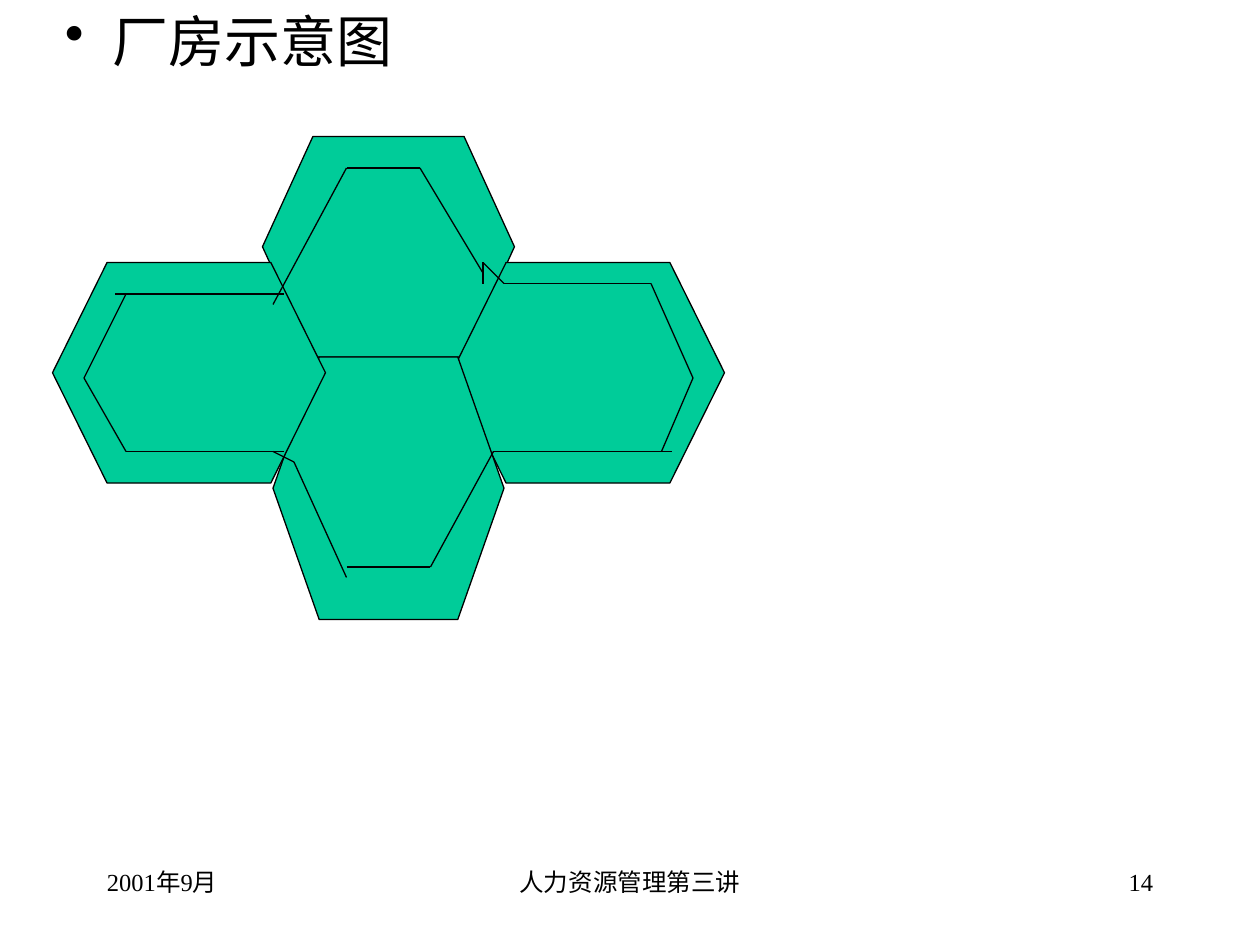
from itertools import pairwise

from lxml.etree import SubElement
from pptx import Presentation
from pptx.dml.color import RGBColor
from pptx.enum.shapes import MSO_CONNECTOR, MSO_SHAPE
from pptx.enum.text import PP_ALIGN
from pptx.oxml.ns import qn
from pptx.util import Pt

BLACK = RGBColor(0x00, 0x00, 0x00)
GREEN = RGBColor(0x00, 0xCC, 0x99)

# left, top, width, height; later ones overlap earlier ones
WORKSHOPS = [
    (150, 78, 144, 126),
    (258, 150, 156, 126),
    (156, 204, 132, 150),
    (30, 150, 156, 126),
]

# Each wall is a chain of corners joined by straight lines
WALLS = [
    [(276, 156), (240, 96), (198, 96), (156, 174)],
    [(162, 168), (72, 168), (48, 216), (72, 258), (162, 258)],
    [(156, 258), (168, 264), (198, 330)],
    [(198, 324), (246, 324), (282, 258), (378, 258), (396, 216),
     (372, 162), (288, 162), (276, 150), (276, 162)],
    [(108, 168), (66, 168)],
    [(366, 258), (384, 258)],
    [(366, 258), (378, 258)],
]

FOOTERS = [
    ("2001年9月", 54, 150, PP_ALIGN.LEFT),
    ("人力资源管理第三讲", 246, 228, PP_ALIGN.CENTER),
    ("14", 516, 150, PP_ALIGN.RIGHT),
]


class SlidePainter:
    font_name = "Times New Roman"
    line_width = Pt(0.75)

    def __init__(self, slide):
        self.shapes = slide.shapes

    def text(self, words, left, top, width, height, size, align=PP_ALIGN.LEFT, bullet_indent=0):
        box = self.shapes.add_textbox(Pt(left), Pt(top), Pt(width), Pt(height))
        box.text_frame.word_wrap = True
        para = box.text_frame.paragraphs[0]
        para.alignment = align
        if bullet_indent:
            properties = para._p.get_or_add_pPr()
            properties.set("marL", str(Pt(bullet_indent)))
            properties.set("indent", str(-Pt(bullet_indent)))
            SubElement(properties, qn("a:buChar")).set("char", "•")
        span = para.add_run()
        span.text = words
        span.font.name = self.font_name
        span.font.size = Pt(size)
        span.font.color.rgb = BLACK

    def hexagon(self, left, top, width, height):
        shape = self.shapes.add_shape(
            MSO_SHAPE.FLOWCHART_PREPARATION, Pt(left), Pt(top), Pt(width), Pt(height))
        shape.shadow.inherit = False
        shape.fill.solid()
        shape.fill.fore_color.rgb = GREEN
        self.outline(shape.line)

    def wall(self, corners):
        for start, end in pairwise(corners):
            line = self.shapes.add_connector(
                MSO_CONNECTOR.STRAIGHT, *map(Pt, start), *map(Pt, end))
            self.outline(line.line)
            SubElement(line._element.spPr, qn("a:effectLst"))

    def outline(self, line):
        line.color.rgb = BLACK
        line.width = self.line_width


def main():
    deck = Presentation()
    deck.slide_width, deck.slide_height = Pt(720), Pt(540)
    page = SlidePainter(deck.slides.add_slide(deck.slide_layouts[6]))

    page.text("厂房示意图", 30, 0, 630, 492, 32, bullet_indent=27)
    for workshop in WORKSHOPS:
        page.hexagon(*workshop)
    for corners in WALLS:
        page.wall(corners)
    for words, left, width, align in FOOTERS:
        page.text(words, left, 492, width, 36, 14, align)

    deck.save("out.pptx")


if __name__ == "__main__":
    main()
